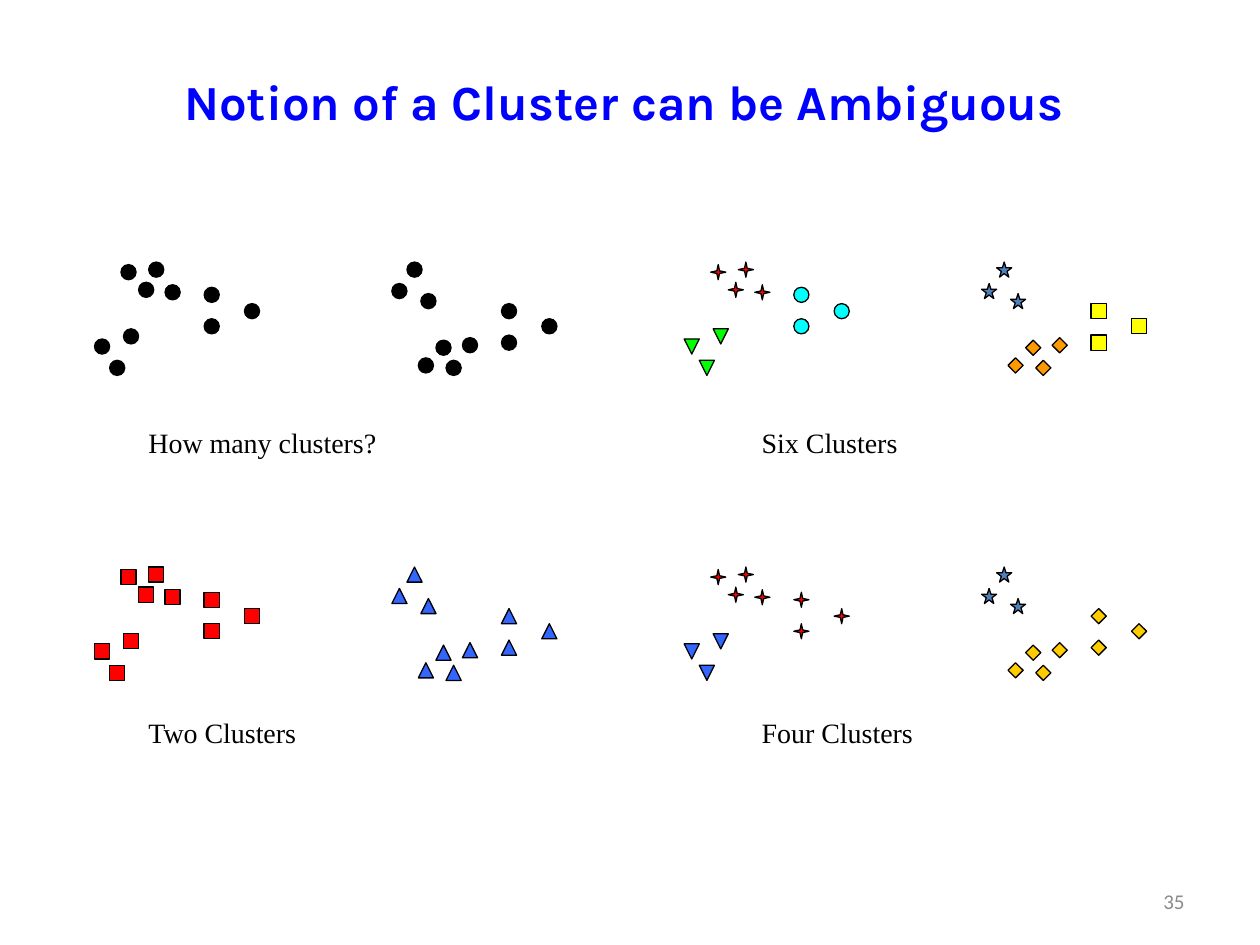
import pptx
import pptx.util
import pptx.dml.color
import pptx.enum.shapes
import pptx.enum.text

Inches, Pt = pptx.util.Inches, pptx.util.Pt
RGB = pptx.dml.color.RGBColor
SHAPE = pptx.enum.shapes.MSO_SHAPE
ALIGN = pptx.enum.text.PP_ALIGN
ANCHOR = pptx.enum.text.MSO_ANCHOR

BLACK = RGB(0x00, 0x00, 0x00)
TITLE_BLUE = RGB(0x00, 0x00, 0xFF)
GREY = RGB(0x8C, 0x8C, 0x8C)
RED = RGB(0xFF, 0x00, 0x00)
GREEN = RGB(0x00, 0xFF, 0x00)
CYAN = RGB(0x00, 0xFF, 0xFF)
YELLOW = RGB(0xFF, 0xFF, 0x00)
GOLD = RGB(0xFF, 0xCC, 0x00)
ORANGE = RGB(0xFF, 0x99, 0x00)
BLUE = RGB(0x33, 0x66, 0xFF)
STEEL = RGB(0x4F, 0x81, 0xBD)

# Panel grid, in inches
LEFT, TOP = 0.75, 2.08
COL_PITCH, ROW_PITCH = 4.68, 2.42
CAPTION_LEFT, CAPTION_TOP, CAPTION_PITCH = 1.08, 3.33, 2.3
MARK = 0.12

# Three knots of points; the right half is the left half upside down
KNOTS = [
    [(0.56, 0.18), (0.21, 0.02), (0.43, 0), (0.35, 0.16)],
    [(0.23, 0.53), (0, 0.61), (0.12, 0.78)],
    [(0.87, 0.2), (1.19, 0.33), (0.87, 0.45)],
]
HALF_SHIFT, HALF_HEIGHT = 2.36, 0.78

# Marker styles: shape, fill, rotation
DOT = (SHAPE.OVAL, BLACK, 0)
RED_SQUARE = (SHAPE.RECTANGLE, RED, 0)
BLUE_UP = (SHAPE.ISOSCELES_TRIANGLE, BLUE, 0)
BLUE_DOWN = (SHAPE.ISOSCELES_TRIANGLE, BLUE, 180)
GREEN_DOWN = (SHAPE.ISOSCELES_TRIANGLE, GREEN, 180)
SPARK = (SHAPE.STAR_4_POINT, RED, 0)
STAR = (SHAPE.STAR_5_POINT, STEEL, 0)
CYAN_DOT = (SHAPE.OVAL, CYAN, 0)
YELLOW_SQUARE = (SHAPE.RECTANGLE, YELLOW, 0)
ORANGE_DIAMOND = (SHAPE.DIAMOND, ORANGE, 0)
GOLD_DIAMOND = (SHAPE.DIAMOND, GOLD, 0)

# Caption, column, row, styles of the left knots, styles of the right knots
PANELS = [
    ("How many clusters?", 0, 0, [DOT] * 3, [DOT] * 3),
    ("Four Clusters", 1, 1, [SPARK, BLUE_DOWN, SPARK],
     [GOLD_DIAMOND, STAR, GOLD_DIAMOND]),
    ("Two Clusters", 0, 1, [RED_SQUARE] * 3, [BLUE_UP] * 3),
    ("Six Clusters", 1, 0, [SPARK, GREEN_DOWN, CYAN_DOT],
     [ORANGE_DIAMOND, STAR, YELLOW_SQUARE]),
]


def place(sp, left, top, width, height):
    box = dict(left=left, top=top, width=width, height=height)
    for name, value in box.items():
        setattr(sp, name, Inches(value))


def write(tf, text, color, align=ALIGN.LEFT, **font):
    tf.word_wrap = True
    p = tf.paragraphs[0]
    p.alignment = align
    r = p.add_run()
    r.text = text
    r.font.color.rgb = color
    for name, value in font.items():
        setattr(r.font, name, value)


def add_marker(group, x, y, style):
    kind, fill, rotation = style
    sp = group.shapes.add_shape(
        kind, Inches(x), Inches(y), Inches(MARK), Inches(MARK))
    sp.shadow.inherit = False
    sp.rotation = rotation
    sp.fill.solid()
    sp.fill.fore_color.rgb = fill
    sp.line.color.rgb = BLACK
    sp.line.width = Pt(0.75)
    if kind == SHAPE.STAR_4_POINT:
        sp.adjustments[0] = 0.125


def add_text(shapes, box, text, color, anchor=ANCHOR.TOP, **fmt):
    sp = shapes.add_textbox(*map(Inches, box))
    sp.text_frame.vertical_anchor = anchor
    write(sp.text_frame, text, color, **fmt)


def add_panel(s, caption, col, row, left_styles, right_styles):
    group = s.shapes.add_group_shape()
    x0, y0 = LEFT + col * COL_PITCH, TOP + row * ROW_PITCH
    for knot, style in zip(KNOTS, right_styles):
        for x, y in knot:
            add_marker(group, x0 + HALF_SHIFT + x, y0 + HALF_HEIGHT - y, style)
    for knot, style in zip(KNOTS, left_styles):
        for x, y in knot:
            add_marker(group, x0 + x, y0 + y, style)
    box = (CAPTION_LEFT + col * COL_PITCH * 1.04,
           CAPTION_TOP + row * CAPTION_PITCH, 2.5, 0.37)
    add_text(group.shapes, box, caption, BLACK,
             name="Times New Roman", size=Pt(16))


def main():
    prs = pptx.Presentation()
    prs.slide_width, prs.slide_height = Inches(10), Inches(7.5)
    s = prs.slides.add_slide(prs.slide_layouts[5])
    title = s.shapes.title
    place(title, 0.42, 0.5, 9.06, 0.6)
    title.text_frame.vertical_anchor = ANCHOR.MIDDLE
    write(title.text_frame, "Notion of a Cluster can be Ambiguous", TITLE_BLUE,
          ALIGN.CENTER, name="Karla", size=Pt(28), bold=True)
    for panel in PANELS:
        add_panel(s, *panel)
    add_text(s.shapes, (7.17, 6.95, 2.33, 0.4), "35", GREY, ANCHOR.MIDDLE,
             align=ALIGN.RIGHT, name="Calibri", size=Pt(12))
    prs.save("out.pptx")


if __name__ == "__main__":
    main()
